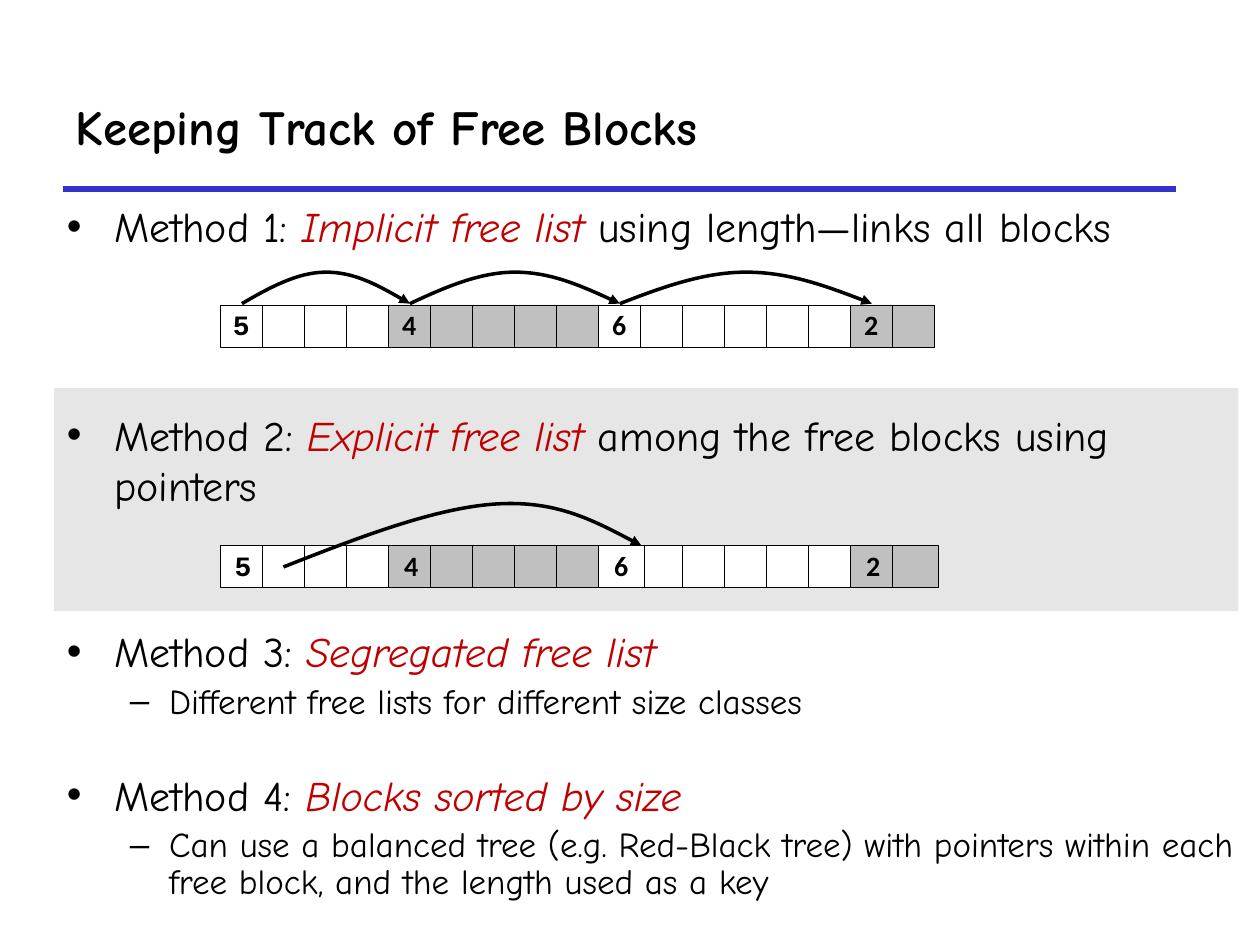
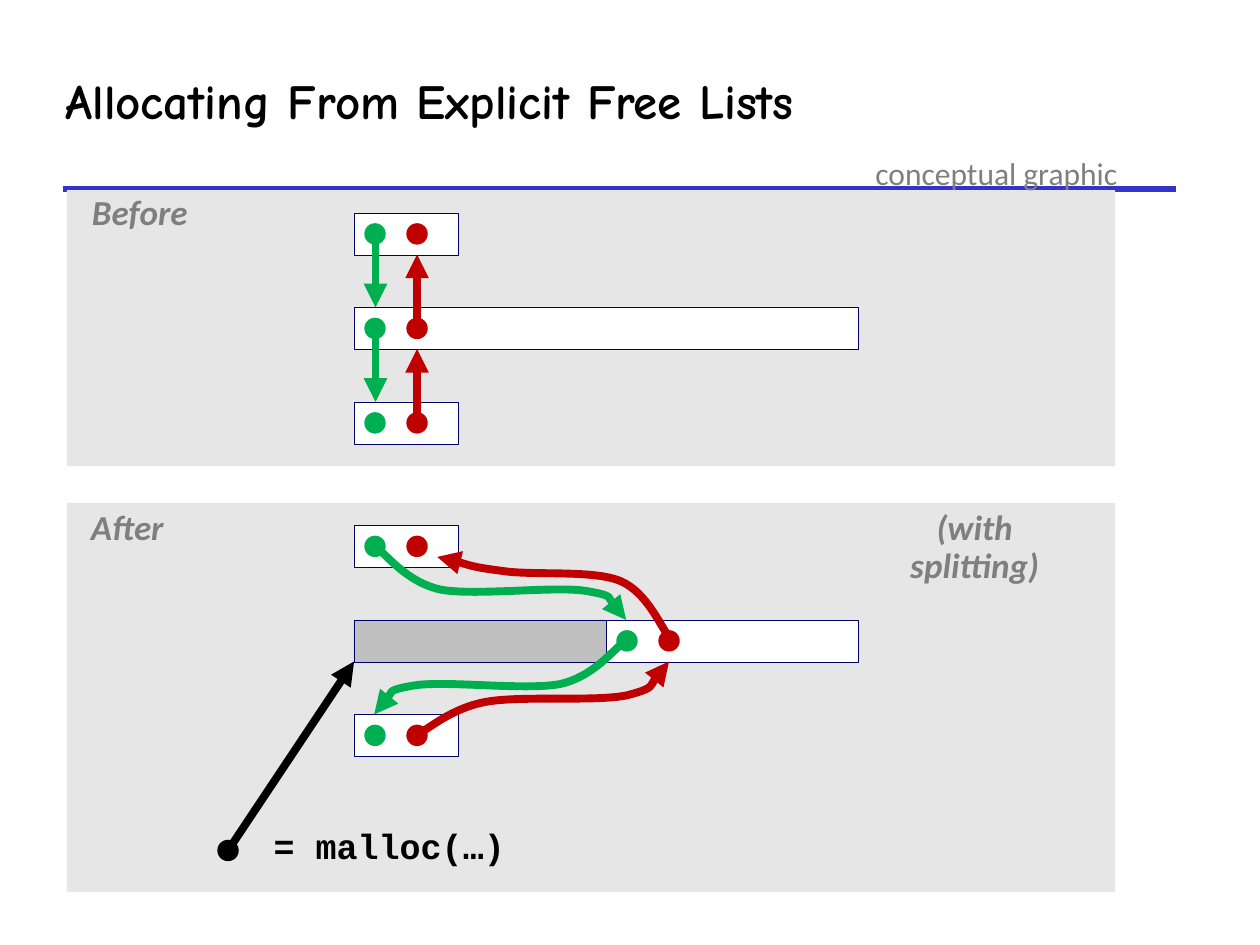
"""Builds two slides on how a heap tracks its free blocks."""
from typing import NamedTuple, Optional

from lxml.etree import SubElement
from pptx import Presentation
from pptx.dml.color import RGBColor
from pptx.enum.shapes import MSO_CONNECTOR as Link, MSO_SHAPE as Kind
from pptx.enum.text import MSO_ANCHOR as Anchor, MSO_AUTO_SIZE as Fit, PP_ALIGN as Align
from pptx.oxml.ns import qn
from pptx.slide import Slide, SlideLayout
from pptx.util import Inches, Pt

BLACK, WHITE, GRAY, PALE = "000000", "FFFFFF", "C0C0C0", "E6E6E6"
RED, GREEN, BLUE, NAVY, DIM = "C00000", "00B050", "3333CC", "000066", "7F7F7F"
COMIC, SANS, MONO = "Comic Neue", "Calibri", "Courier New"
CELL = 1 / 3
DOT = 0.17
THIN, THICK = 0.25, 4.5

Point = tuple[float, float]


class Box(NamedTuple):
    x: float
    y: float
    w: float
    h: float


class Style(NamedTuple):
    size: float
    face: str = COMIC
    tint: str = BLACK
    bold: bool = False
    slant: bool = False


class Item(NamedTuple):
    level: int
    gap: float
    lead: float
    text: str
    term: str = ""
    rest: str = ""


class Label(NamedTuple):
    text: str
    box: Box
    style: Style
    wrap: bool = False
    inset: float = 0.05


class Arrow(NamedTuple):
    start: Point
    end: Point
    tint: str


class Curve(NamedTuple):
    points: list[Point]
    tint: str
    width: float


HEAD = Style(28, bold=True)
NOTE = Style(20, SANS, DIM, True, True)

ITEMS = [
    Item(0, 0, 1, "Method 1: ", "Implicit free list ", "using length—links all blocks"),
    Item(0, 90.5, 1, "Method 2: ", "Explicit free list ",
         "among the free blocks using pointers"),
    Item(0, 71, 0.83, "Method 3: ", "Segregated free list"),
    Item(1, 5, 0.88, "Different free lists for different size classes"),
    Item(0, 32, 0.83, "Method 4: ", "Blocks sorted by size"),
    Item(1, 5, 0.88, "Can use a balanced tree (e.g. Red-Black tree) with pointers "
                     "within each free block, and the length used as a key"),
]
SIZES = {0: "5", 4: "4", 9: "6", 15: "2"}
USED = {4, 5, 6, 7, 8, 15, 16}

LABELS = [
    Label("Before", Box(0.68, 1.5, 0.86, 0.4), NOTE),
    Label("After", Box(0.67, 4, 0.68, 0.4), NOTE),
    Label("(with splitting)", Box(6.84, 4, 1.79, 0.4), NOTE),
    Label("= malloc(…)", Box(2.12, 6.53, 1.94, 0.4), Style(20, MONO, bold=True)),
    Label("conceptual graphic", Box(6.85, 1.17, 2.13, 0.4), Style(18, SANS, DIM),
          True, 0.1),
]
DOWN = [(2.97, 4.33), (3.06, 4.39), (3.22, 4.62), (3.5, 4.68), (3.78, 4.73),
        (4.4, 4.65), (4.65, 4.69), (4.89, 4.73), (4.91, 4.87), (4.97, 4.92)]
BACK = [(5.32, 5.07), (5.25, 4.99), (5.14, 4.7), (4.92, 4.61), (4.7, 4.52),
        (4.22, 4.57), (3.98, 4.53), (3.74, 4.5), (3.58, 4.44), (3.47, 4.42)]
RISE = [(3.31, 5.83), (3.4, 5.79), (3.58, 5.62), (3.86, 5.57), (4.14, 5.52),
        (4.72, 5.57), (4.97, 5.52), (5.21, 5.46), (5.24, 5.31), (5.31, 5.25)]


def color(code: str) -> RGBColor:
    return RGBColor.from_string(code)


def place(shape, box: Box) -> None:
    shape.left, shape.top, shape.width, shape.height = map(Inches, box)


def dress(font, style: Style) -> None:
    font.size, font.name = Pt(style.size), style.face
    font.bold, font.italic = style.bold, style.slant
    font.color.rgb = color(style.tint)


def stroke(shape, tint: str, width: float, arrow: bool = False) -> None:
    shape.line.color.rgb = color(tint)
    shape.line.width = Pt(width)
    if arrow:
        line = shape.element.xpath("./p:spPr/a:ln")[0]
        SubElement(line, qn("a:tailEnd"), type="triangle")


def block(slide: Slide, box: Box, fill: str, edge: Optional[str] = None,
          kind: Kind = Kind.RECTANGLE):
    shape = slide.shapes.add_shape(kind, *map(Inches, box))
    shape.shadow.inherit = False
    shape.fill.solid()
    shape.fill.fore_color.rgb = color(fill)
    if edge:
        stroke(shape, edge, THIN)
    else:
        shape.line.fill.background()
    return shape


def dot(slide: Slide, x: float, y: float, tint: str) -> None:
    block(slide, Box(x - DOT / 2, y - DOT / 2, DOT, DOT), tint, kind=Kind.OVAL)


def link(slide: Slide, start: Point, end: Point, tint: str, width: float,
         arrow: bool = True) -> None:
    line = slide.shapes.add_connector(Link.STRAIGHT, *map(Inches, start + end))
    stroke(line, tint, width, arrow)
    SubElement(line.element.spPr, qn("a:effectLst"))


def bend(slide: Slide, curve: Curve) -> None:
    spots = [(Inches(x), Inches(y)) for x, y in curve.points]
    form = slide.shapes.build_freeform(*spots[0])
    form.add_line_segments(spots[1:], close=False)
    shape = form.convert_to_shape()
    shape.shadow.inherit = False
    shape.fill.background()
    stroke(shape, curve.tint, curve.width, True)
    steps = shape.element.xpath(".//a:lnTo")
    for i in range(0, len(steps), 3):
        cubic = SubElement(steps[i].getparent(), qn("a:cubicBezTo"))
        for step in steps[i:i + 3]:
            cubic.append(step[0])
            step.getparent().remove(step)


def write(frame, text: str, style: Style, align: Align, lead: float = 1) -> None:
    para = frame.paragraphs[0]
    para.text, para.alignment, para.line_spacing = text, align, lead
    dress(para.font, style)


def label(slide: Slide, note: Label) -> None:
    frame = slide.shapes.add_textbox(*map(Inches, note.box)).text_frame
    frame.word_wrap, frame.auto_size = note.wrap, Fit.SHAPE_TO_FIT_TEXT
    frame.margin_left = frame.margin_right = Inches(note.inset)
    if note.wrap:
        write(frame, note.text, note.style, Align.LEFT)
    else:
        write(frame, note.text, note.style, Align.CENTER, 0.9)


def begin(deck, layout: SlideLayout, title: str, box: Box, lead: float,
          panels: list[Box]) -> Slide:
    slide = deck.slides.add_slide(layout)
    link(slide, (0.5, 1.5), (9.33, 1.5), BLUE, 3, False)
    for panel in panels:
        block(slide, panel, PALE)
    for holder in list(slide.placeholders):
        slide.shapes.element.append(holder.element)
        holder.text_frame.auto_size = Fit.NONE
    head = slide.shapes.title
    place(head, box)
    head.text_frame.vertical_anchor = Anchor.MIDDLE
    write(head.text_frame, title, HEAD, Align.LEFT, lead)
    return slide


def fill_list(frame, items: list[Item]) -> None:
    for i, item in enumerate(items):
        para = frame.add_paragraph() if i else frame.paragraphs[0]
        para.level, para.line_spacing = item.level, item.lead
        para.space_before = Pt(item.gap)
        dress(para.font, Style(20 if item.level else 24))
        for text in filter(None, (item.text, item.term, item.rest)):
            run = para.add_run()
            run.text = text
            if text == item.term:
                run.font.italic = True
                run.font.color.rgb = color(RED)


def heap(slide: Slide, y: float, width: float) -> None:
    for i in sorted(range(17), key=lambda n: n == 9):
        box = Box(1.75 + i * CELL, y, width, CELL)
        cell = block(slide, box, GRAY if i in USED else WHITE, BLACK)
        if i in SIZES:
            frame = cell.text_frame
            frame.word_wrap, frame.vertical_anchor = False, Anchor.MIDDLE
            style = Style(16, SANS if i else MONO, bold=True)
            write(frame, SIZES[i], style, Align.CENTER, 0.98 if i else 0.94)


def node(slide: Slide, x: float, y: float, width: float) -> None:
    block(slide, Box(x, y, width, CELL), WHITE, NAVY)
    for shift, tint in ((CELL / 2, GREEN), (CELL * 1.5, RED)):
        dot(slide, x + shift, y + CELL / 2, tint)


def track(deck) -> None:
    slide = begin(deck, deck.slide_layouts[1], "Keeping Track of Free Blocks",
                  Box(0.5, 0.5, 8.83, 1), 1, [Box(0.43, 3.08, 9.4, 1.77)])
    body = slide.placeholders[1]
    place(body, Box(0.43, 1.54, 9.57, 5.88))
    fill_list(body.text_frame, ITEMS)
    heap(slide, 2.42, 0.33)
    starts = [1.92 + i * CELL for i in SIZES]
    for a, b in zip(starts, starts[1:]):
        rise = (2.41, 2.28, 2.16, 2.16, 2.16, 2.28, 2.41)
        arc = [(a + (b - a) * k / 6, y) for k, y in enumerate(rise)]
        bend(slide, Curve(arc, BLACK, 2))
    heap(slide, 4.33, 0.36)
    jump = [(2.25, 4.5), (2.86, 4.26), (3.46, 4.03), (3.94, 4),
            (4.41, 3.97), (4.75, 4.15), (5.09, 4.33)]
    bend(slide, Curve(jump, BLACK, 2))


def split(deck) -> None:
    slide = begin(deck, deck.slide_layouts[5], "Allocating From Explicit Free Lists",
                  Box(0.42, 0.51, 8.75, 0.63), 0.87,
                  [Box(0.53, 3.99, 8.32, 3.09), Box(0.53, 1.51, 8.32, 2.19)])
    for y, width in ((1.69, 0.83), (2.44, 4), (3.19, 0.83), (4.17, 0.83), (5.67, 0.83)):
        if y == 2.44 or width < 1:
            node(slide, 2.81, y, width)
    node(slide, 4.81, 4.92, 2)
    block(slide, Box(2.81, 4.92, 2, CELL), GRAY, NAVY)
    dot(slide, 1.81, 6.75, BLACK)
    arrows = [Arrow((1.81, 6.75), (2.81, 5.25), BLACK)]
    for y in (1.85, 2.6):
        arrows += [Arrow((2.98, y), (2.98, y + 0.59), GREEN),
                   Arrow((3.31, y + 0.75), (3.31, y + 0.17), RED)]
    for arrow in arrows:
        link(slide, *arrow, THICK)
    turn = [(7.94 - x, y + 0.75) for x, y in DOWN]
    for points, tint in ((DOWN, GREEN), (turn, GREEN), (BACK, RED), (RISE, RED)):
        bend(slide, Curve(points, tint, THICK))
    for note in LABELS:
        label(slide, note)


def main() -> None:
    deck = Presentation()
    deck.slide_width, deck.slide_height = Inches(10), Inches(7.5)
    track(deck)
    split(deck)
    deck.save("out.pptx")


if __name__ == "__main__":
    main()
